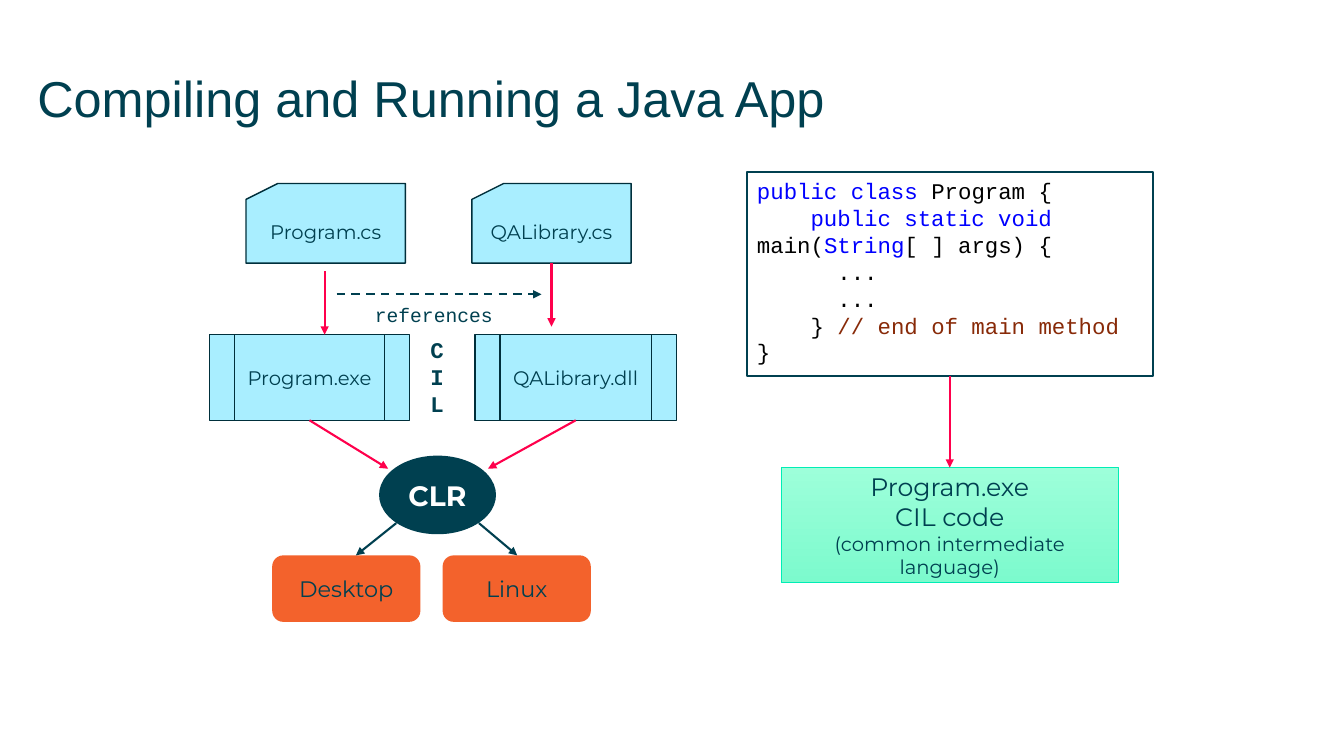
import pptx
import pptx.util
import pptx.dml.color
import pptx.enum.dml
import pptx.enum.shapes
import pptx.enum.text
import pptx.oxml
import pptx.oxml.ns
from pptx.util import Inches

SHAPE = pptx.enum.shapes.MSO_SHAPE
ANCHOR = pptx.enum.text.MSO_ANCHOR
CENTER = pptx.enum.text.PP_ALIGN.CENTER
NAVY, PINK, SKY, INK, ORANGE = "004050", "FF004C", "A9EEFF", "002F3B", "F3622C"
BLUE, BLACK, BROWN, WHITE = "0000FF", "000000", "882A08", "FFFFFF"


def rgb(value):
    return pptx.dml.color.RGBColor.from_string(value)


def write(frame, lines, font, size, color=NAVY, align=None, bold=False):
    frame.word_wrap = True
    for index, line in enumerate(lines):
        paragraph = frame.add_paragraph() if index else frame.paragraphs[0]
        paragraph.alignment = align
        paragraph.font.name = font
        paragraph.font.size = pptx.util.Pt(size)
        paragraph.font.bold = bold
        paragraph.font.color.rgb = rgb(color)
        for text, run_color in line:
            run = paragraph.add_run()
            run.text = text
            if run_color != color:
                run.font.color.rgb = rgb(run_color)


deck = pptx.Presentation()
deck.slide_width, deck.slide_height = Inches(13.33), Inches(7.5)
slide = deck.slides.add_slide(deck.slide_layouts[6])
shapes = slide.shapes

title = shapes.add_textbox(Inches(0.37), Inches(0.61), Inches(12.6), Inches(0.88)).text_frame
title.margin_left = title.margin_right = title.margin_bottom = 0
title.margin_top = Inches(0.06)
write(title, [[("Compiling and Running a Java App", NAVY)]], "Arial", 36)

code = shapes.add_shape(SHAPE.RECTANGLE, Inches(7.41), Inches(1.71), Inches(4.03), Inches(2.02))
code.shadow.inherit = False
code.fill.solid()
code.fill.fore_color.rgb = rgb(WHITE)
code.line.color.rgb = rgb(NAVY)
code.line.width = pptx.util.Pt(1.5)
code.text_frame.vertical_anchor = ANCHOR.TOP
code_lines = [
    [("public class ", BLUE), ("Program {", BLACK)],
    [("    public static void ", BLUE), ("main(", BLACK), ("String", BLUE), ("[ ] args) {", BLACK)],
    [("      ...", BLACK)],
    [("      ...", BLACK)],
    [("    } ", BLACK), ("// end of main method", BROWN)],
    [("}", BLACK)],
]
write(code.text_frame, code_lines, "Courier New", 16, BLACK, pptx.enum.text.PP_ALIGN.LEFT)

cil_code = shapes.add_shape(SHAPE.RECTANGLE, Inches(7.75), Inches(4.64), Inches(3.34), Inches(1.14))
cil_code.shadow.inherit = False
cil_code.fill.gradient()
cil_code.fill.gradient_angle = 270
for stop, tint in zip(cil_code.fill.gradient_stops, ("9DFFDA", "7CFACD")):
    stop.color.rgb = rgb(tint)
cil_code.line.color.rgb = rgb("00EDB5")
cil_code.line.width = pptx.util.Pt(0.5)
cil_code.text_frame.vertical_anchor = ANCHOR.MIDDLE
cil_lines = [[(text, NAVY)] for text in ("Program.exe", "CIL code", "(common intermediate language)")]
write(cil_code.text_frame, cil_lines, "Montserrat", 18, NAVY, CENTER)
cil_code.text_frame.paragraphs[2].font.size = pptx.util.Pt(14)

stages = [
    ("Program.cs", SHAPE.FLOWCHART_CARD, 2.44, 1.82, 1.58, 0.79, SKY, INK, 14, NAVY),
    ("QALibrary.cs", SHAPE.FLOWCHART_CARD, 4.68, 1.82, 1.58, 0.79, SKY, INK, 14, NAVY),
    ("Program.exe", SHAPE.FLOWCHART_PREDEFINED_PROCESS, 2.08, 3.32, 1.98, 0.85, SKY, INK, 14, NAVY),
    ("QALibrary.dll", SHAPE.FLOWCHART_PREDEFINED_PROCESS, 4.71, 3.32, 2, 0.85, SKY, INK, 14, NAVY),
    ("CLR", SHAPE.OVAL, 3.76, 4.52, 1.16, 0.78, NAVY, None, 20, WHITE),
    ("Desktop", SHAPE.ROUNDED_RECTANGLE, 2.7, 5.51, 1.47, 0.66, ORANGE, None, 16, NAVY),
    ("Linux", SHAPE.ROUNDED_RECTANGLE, 4.39, 5.51, 1.47, 0.66, ORANGE, None, 16, NAVY),
]
for label, outline, left, top, width, height, fill, border, size, color in stages:
    stage = shapes.add_shape(outline, Inches(left), Inches(top), Inches(width), Inches(height))
    stage.shadow.inherit = False
    stage.fill.solid()
    stage.fill.fore_color.rgb = rgb(fill)
    if border:
        stage.line.color.rgb = rgb(border)
        stage.line.width = pptx.util.Pt(1)
    else:
        stage.line.fill.background()
    stage.text_frame.vertical_anchor = ANCHOR.MIDDLE
    write(stage.text_frame, [[(label, color)]], "Montserrat", size, color, CENTER, label == "CLR")

arrows = [
    (9.42, 3.73, 9.42, 4.64, PINK, False),
    (3.22, 2.69, 3.22, 3.32, PINK, False),
    (5.47, 2.61, 5.47, 3.24, PINK, False),
    (3.34, 2.92, 5.37, 2.92, NAVY, True),
    (3.07, 4.17, 3.85, 4.65, PINK, False),
    (5.71, 4.17, 4.84, 4.65, PINK, False),
    (3.93, 5.19, 3.53, 5.51, NAVY, False),
    (4.75, 5.19, 5.13, 5.51, NAVY, False),
]
for x1, y1, x2, y2, color, dashed in arrows:
    arrow = shapes.add_connector(
        pptx.enum.shapes.MSO_CONNECTOR.STRAIGHT, Inches(x1), Inches(y1), Inches(x2), Inches(y2))
    arrow.line.color.rgb = rgb(color)
    arrow.line.width = pptx.util.Pt(1.5)
    if dashed:
        arrow.line.dash_style = pptx.enum.dml.MSO_LINE.DASH
    head = pptx.oxml.parse_xml(f'<a:tailEnd {pptx.oxml.ns.nsdecls("a")} type="triangle"/>')
    arrow.line._get_or_add_ln().append(head)
    arrow._element.spPr.append(pptx.oxml.parse_xml(f'<a:effectLst {pptx.oxml.ns.nsdecls("a")}/>'))

references = shapes.add_textbox(Inches(3.62), Inches(2.96), Inches(1.49), Inches(0.34))
write(references.text_frame, [[("references", NAVY)]], "Courier New", 14)

cil = shapes.add_textbox(Inches(4.17), Inches(3.29), Inches(0.44), Inches(0.91))
write(cil.text_frame, [[("CIL", NAVY)]], "Courier New", 16, bold=True)

deck.save("out.pptx")
